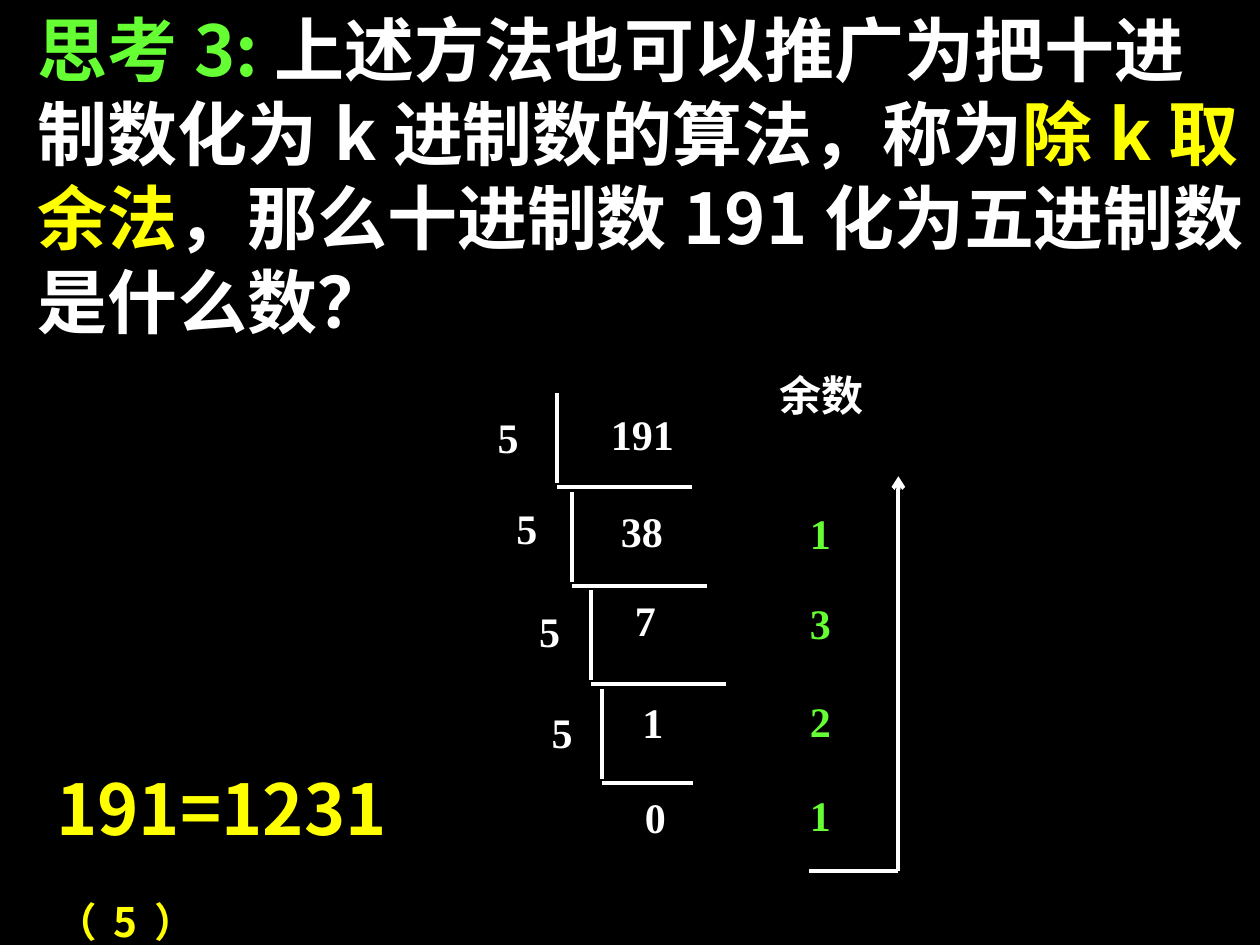
from lxml import etree
from pptx import Presentation
from pptx.dml.color import RGBColor
from pptx.enum.shapes import MSO_CONNECTOR
from pptx.enum.text import PP_ALIGN
from pptx.oxml.ns import qn
from pptx.util import Inches, Pt

# Grid of 100 columns by 75 rows: one cell is a tenth of an inch
CELL = 0.1
WHITE, GREEN, YELLOW = "FFFFFF", "66FF33", "FFFF00"
SANS, SERIF = "Noto Sans CJK SC", "Times New Roman"


def cells(*counts):
    return [Inches(count * CELL) for count in counts]


def color(value):
    return RGBColor.from_string(value)


def add_text(page, box, runs, size, font, align=PP_ALIGN.LEFT, spacing=None):
    frame = page.shapes.add_textbox(*cells(*box)).text_frame
    frame.word_wrap = True
    para = frame.paragraphs[0]
    para.alignment = align
    if spacing:
        para.line_spacing = spacing
    spans = []
    for text, tint in runs:
        span = para.add_run()
        span.text = text
        style = {"size": Pt(size), "bold": True, "name": font}
        for name, value in style.items():
            setattr(span.font, name, value)
        span.font.color.rgb = color(tint)
        east = etree.SubElement(span.font._element, qn("a:ea"))
        east.set("typeface", SANS)
        spans.append(span)
    return spans


def add_line(page, start, end, arrow=False):
    line = page.shapes.add_connector(
        MSO_CONNECTOR.STRAIGHT, *cells(*start, *end))
    line.line.color.rgb = color(WHITE)
    line.line.width = Pt(2.25)
    if arrow:
        etree.SubElement(line.line._get_or_add_ln(), qn("a:tailEnd"), type="arrow")
    etree.SubElement(line._element.spPr, qn("a:effectLst"))


def add_question(page, box):
    runs = [
        ("思考3:", GREEN),
        ("上述方法也可以推广为把十进制数化为k进制数的算法，称为", WHITE),
        ("除k取余法", YELLOW),
        ("，那么十进制数191化为五进制数是什么数？", WHITE),
    ]
    add_text(page, box, runs, 40, SANS)


def add_division(page, box):
    left, top, width, height = box

    def label(text, x, y, tint=WHITE, wide=8.8):
        add_text(page, (left + x, top + y, wide, 6), [(text, tint)],
                 24, SERIF, PP_ALIGN.JUSTIFY)

    # Each step: number, its x and y, divisor x and y, bracket x and length
    first, pitch, drop = 2.4, 7.83, 7.15
    steps = [
        ("191", 9, 3.1, 0, 3.4, 5.7, 10.75),
        ("38", 9.8, 10.8, 1.5, 10.6, 6.9, 10.75),
        ("7", 10.9, 17.9, 3.3, 18.8, 8.4, 10.75),
        ("1", 11.5, 26, 4.3, 26.8, 9.3, 7.2),
    ]
    for index, (number, x, y, div_x, div_y, bar, length) in enumerate(steps):
        label(number, x, y)
        label("5", div_x, div_y, wide=5.5)
        start = first + index * pitch
        add_line(page, (left + bar, top + start), (left + bar, top + start + drop))
        base = top + start + drop + 0.3
        add_line(page, (left + bar, base), (left + bar + length, base))
    label("0", 11.7, 33.5)

    # Remainders, read upwards along the arrow
    label("余数", 22.4, 0, wide=14.3)
    for digit, y in zip("1321", (11, 18.1, 25.9, 33.4)):
        label(digit, 24.8, y, GREEN, 5.6)
    right, bottom = left + width, top + height
    add_line(page, (right - 7.1, bottom), (right, bottom))
    add_line(page, (right, bottom), (right, top + 9), arrow=True)


def add_answer(page, box):
    runs = [("191=1231", YELLOW), ("（5）", YELLOW)]
    base = add_text(page, box, runs, 40, SANS)[1]
    base.font._element.set("baseline", "-25000")


def main():
    deck = Presentation()
    deck.slide_width, deck.slide_height = cells(100, 75)
    page = deck.slides.add_slide(deck.slide_layouts[6])
    page.background.fill.solid()
    page.background.fill.fore_color.rgb = color("000000")
    add_question(page, (2, 0, 98, 27.7))
    add_division(page, (38.5, 28.8, 32.8, 40.3))
    add_answer(page, (3.5, 60.3, 34.6, 15.3))
    deck.save("out.pptx")


if __name__ == "__main__":
    main()
